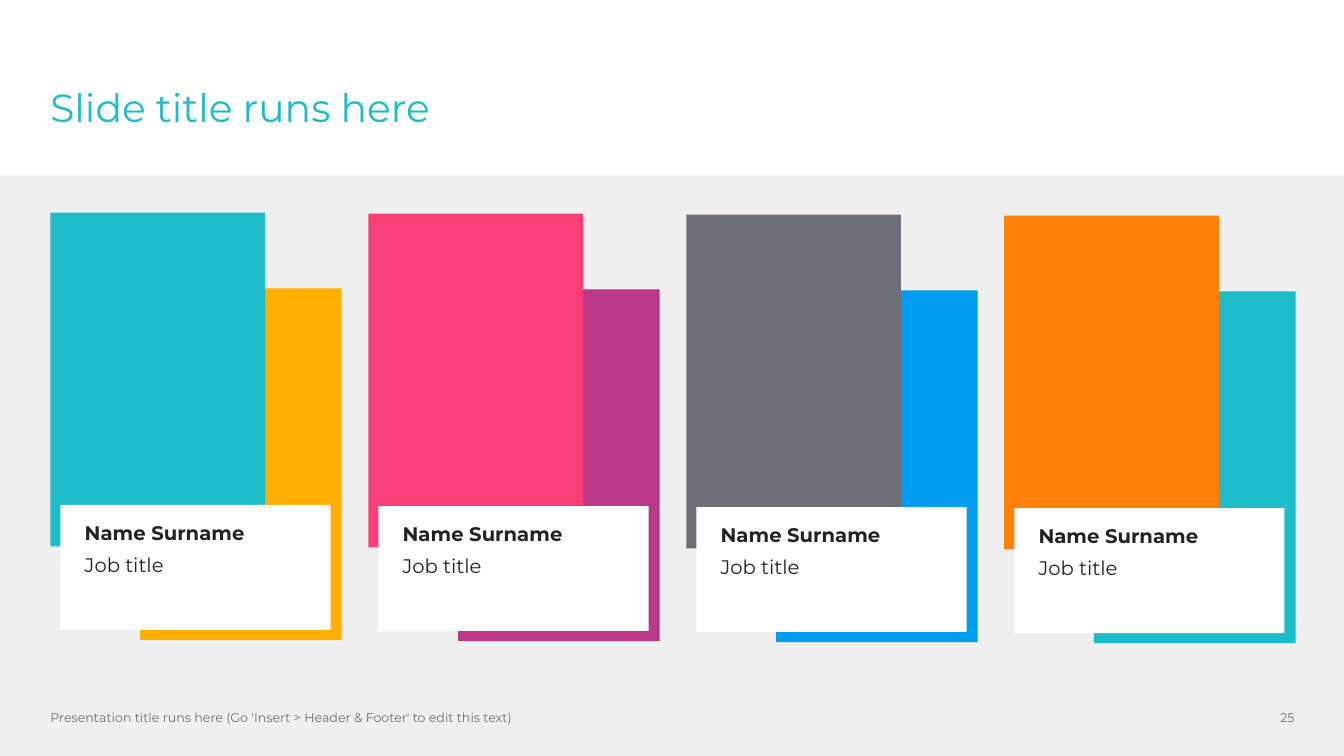
from lxml import etree
from pptx import Presentation
from pptx.dml.color import RGBColor
from pptx.enum.shapes import MSO_SHAPE
from pptx.enum.text import MSO_ANCHOR, MSO_AUTO_SIZE, PP_ALIGN
from pptx.oxml.ns import qn
from pptx.util import Inches, Pt

RECTANGLE = MSO_SHAPE.RECTANGLE
TOP, MIDDLE = MSO_ANCHOR.TOP, MSO_ANCHOR.MIDDLE
LEFT, RIGHT = PP_ALIGN.LEFT, PP_ALIGN.RIGHT
NO_AUTOFIT = MSO_AUTO_SIZE.NONE

WHITE = RGBColor(0xFF, 0xFF, 0xFF)
PALE_GREY = RGBColor(0xEF, 0xEF, 0xEF)
INK = RGBColor(0x22, 0x22, 0x22)
SLATE = RGBColor(0x6D, 0x6F, 0x78)
TEAL = RGBColor(0x1E, 0xBC, 0xC8)
AMBER = RGBColor(0xFF, 0xAF, 0x00)
PINK = RGBColor(0xF8, 0x3F, 0x78)
PURPLE = RGBColor(0xBB, 0x37, 0x8A)
BLUE = RGBColor(0x00, 0x9C, 0xED)
ORANGE = RGBColor(0xFF, 0x81, 0x09)

FONT = "Montserrat"
TITLE = "Slide title runs here"
FOOTER = "Presentation title runs here (Go 'Insert > Header & Footer' to edit this text)"
PAGE_NUMBER = "25"
PEOPLE = [
    ("Name Surname", "Job title", TEAL, AMBER),
    ("Name Surname", "Job title", PINK, PURPLE),
    ("Name Surname", "Job title", SLATE, BLUE),
    ("Name Surname", "Job title", ORANGE, TEAL),
]

SLIDE_W, SLIDE_H = 13.33, 7.5
BAND_TOP = 1.74
MARGIN = 0.5
PORTRAIT_TOP = 2.11
COLUMN_STEP = (9.96 - MARGIN) / (len(PEOPLE) - 1)
COLUMN_DROP = 0.01
COMPARISON_LAYOUT = 4


def place(shape, left, top, width, height):
    shape.left, shape.top = Inches(left), Inches(top)
    shape.width, shape.height = Inches(width), Inches(height)


def add_block(slide, left, top, width, height, color):
    block = slide.shapes.add_shape(
        RECTANGLE, Inches(left), Inches(top), Inches(width), Inches(height))
    block.shadow.inherit = False
    block.fill.solid()
    block.fill.fore_color.rgb = color
    block.line.fill.background()


def set_frame(frame, anchor, insets=(0, 0, 0, 0)):
    frame.word_wrap = True
    frame.auto_size = NO_AUTOFIT
    frame.vertical_anchor = anchor
    frame.margin_left, frame.margin_top, frame.margin_right, frame.margin_bottom = map(
        Inches, insets)


def write(paragraph, text, size, color, bold=False, align=LEFT):
    paragraph.alignment = align
    run = paragraph.add_run()
    run.text = text
    run.font.name = FONT
    run.font.size = Pt(size)
    run.font.bold = bold
    run.font.color.rgb = color


def fill_card(card, lines):
    card.fill.solid()
    card.fill.fore_color.rgb = WHITE
    frame = card.text_frame
    set_frame(frame, TOP, (0.24, 0.16, 0.16, 0))
    for level, line in enumerate(lines):
        paragraph = frame.add_paragraph() if level else frame.paragraphs[0]
        paragraph.level = level
        properties = paragraph._p.get_or_add_pPr()
        properties.set("marL", "0")
        properties.set("indent", "0")
        etree.SubElement(properties, qn("a:buNone"))
        paragraph.space_before = Pt(6 * level)
        write(paragraph, line, 14, INK, bold=level == 0)


def add_footer(slide, left, width, text, align):
    box = slide.shapes.add_textbox(
        Inches(left), Inches(6.99), Inches(width), Inches(0.25))
    set_frame(box.text_frame, MIDDLE)
    write(box.text_frame.paragraphs[0], text, 9, SLATE, align=align)


def main():
    """Build the team slide with four portrait blocks and name cards."""
    deck = Presentation()
    deck.slide_width, deck.slide_height = Inches(SLIDE_W), Inches(SLIDE_H)
    slide = deck.slides.add_slide(deck.slide_layouts[COMPARISON_LAYOUT])
    title, *cards = slide.placeholders

    add_block(slide, 0, BAND_TOP, SLIDE_W, SLIDE_H - BAND_TOP, PALE_GREY)

    place(title, MARGIN, 0.88, 11.54, 1.24)
    set_frame(title.text_frame, TOP)
    heading = title.text_frame.paragraphs[0]
    heading.line_spacing = 0.9
    write(heading, TITLE, 28, TEAL)

    for column, (person, card) in enumerate(zip(PEOPLE, cards)):
        name, job, portrait_color, backdrop_color = person
        left = MARGIN + column * COLUMN_STEP
        top = PORTRAIT_TOP + column * COLUMN_DROP
        add_block(slide, left + 0.89, top + 0.75, 2, 3.49, backdrop_color)
        add_block(slide, left, top, 2.13, 3.31, portrait_color)
        place(card, left + 0.1, top + 2.9, 2.68, 1.24)
        fill_card(card, (name, job))

    for placeholder in (title, *cards):
        slide.shapes._spTree.append(placeholder._element)

    add_footer(slide, MARGIN, 9.11, FOOTER, LEFT)
    add_footer(slide, 12.04, 0.8, PAGE_NUMBER, RIGHT)
    deck.save("out.pptx")


if __name__ == "__main__":
    main()
